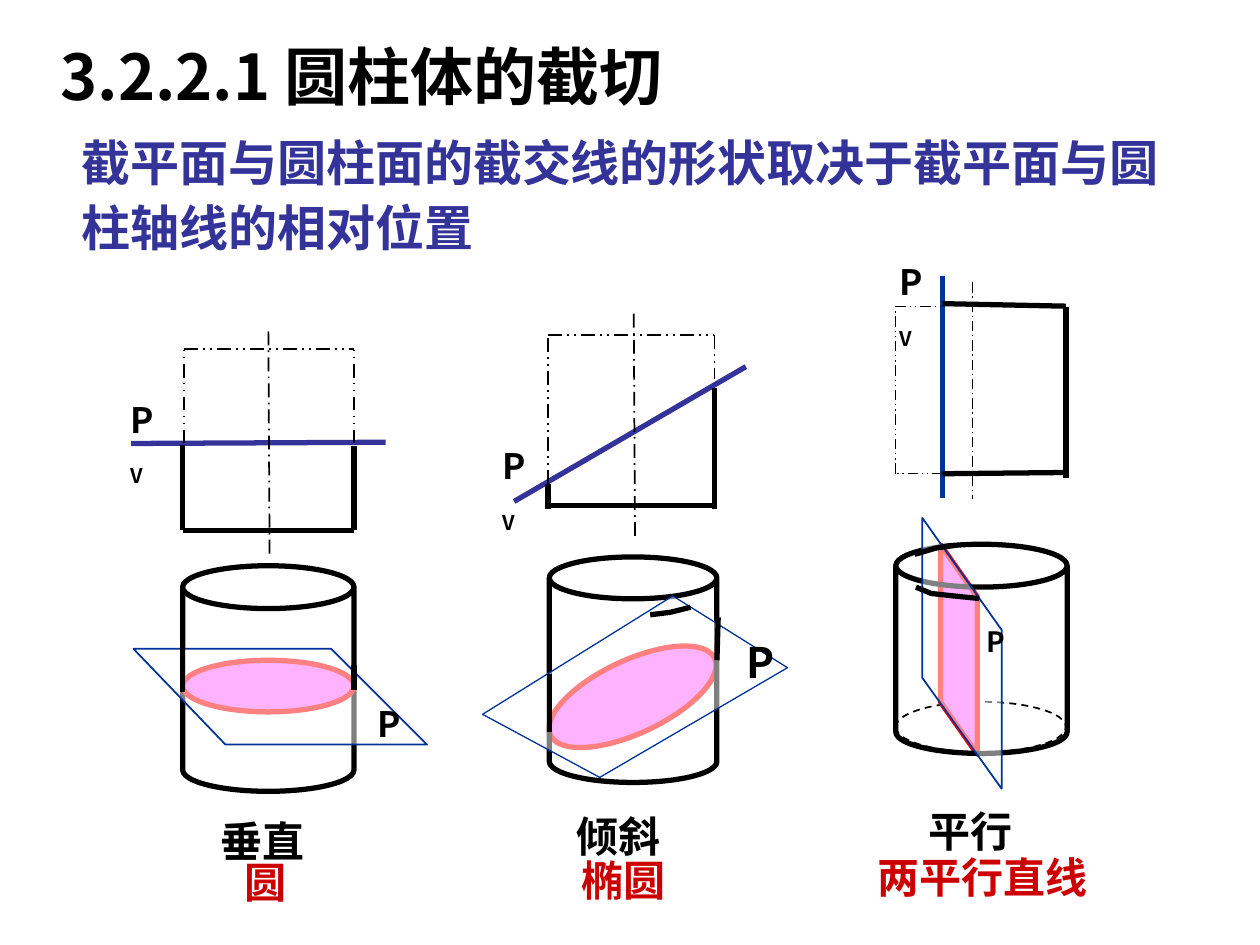
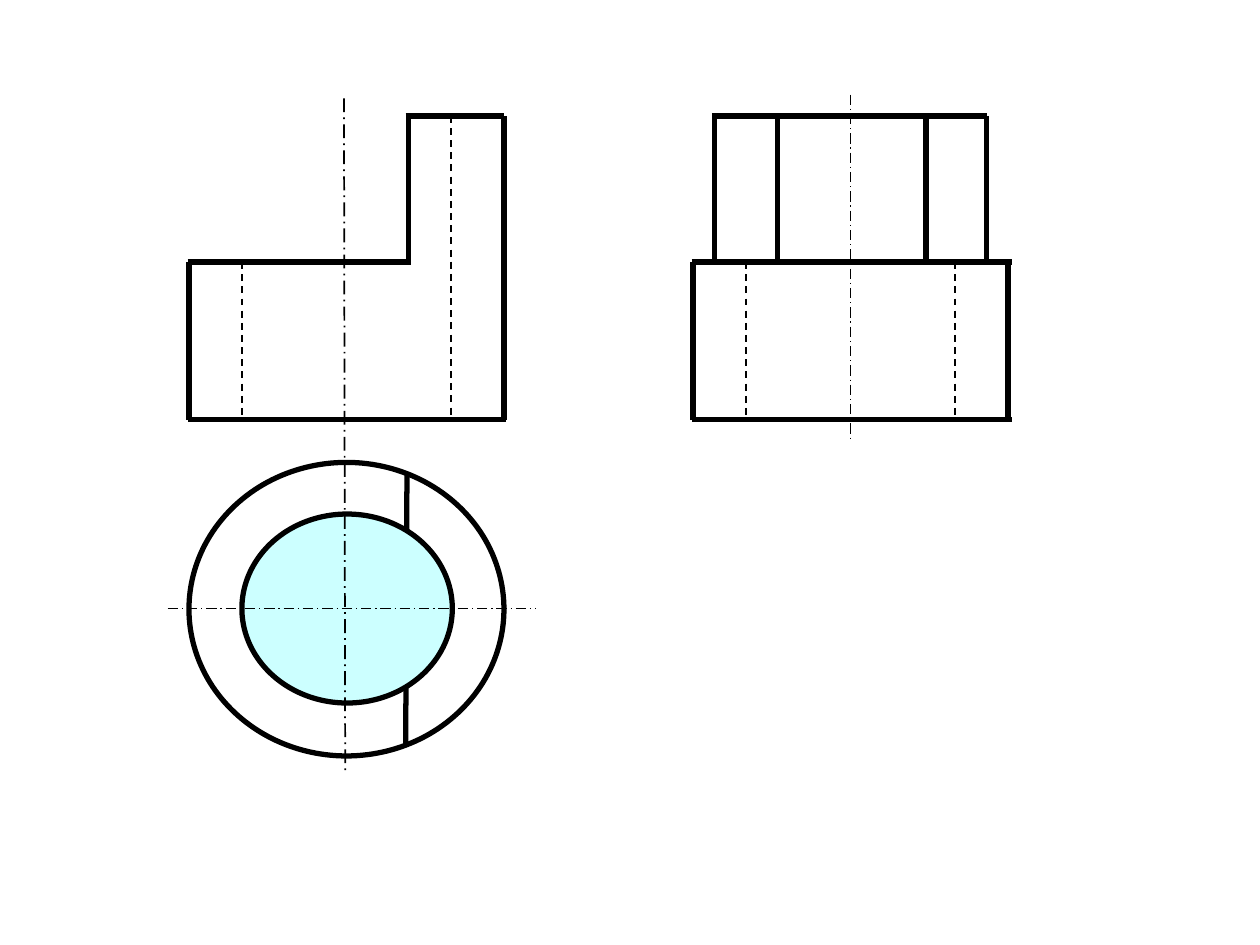
"""Build two slides on cutting a cylinder with a plane."""
from dataclasses import dataclass
from itertools import pairwise

from lxml import etree
from pptx import Presentation
from pptx import util as u
from pptx.dml.color import RGBColor
from pptx.enum import dml, shapes, text
from pptx.oxml.ns import qn

DASH = dml.MSO_LINE
FORM = shapes.MSO_SHAPE


@dataclass(frozen=True)
class Pen:
    color: str
    width: float
    dash: object = None


@dataclass(frozen=True)
class Theme:
    font: str = "Noto Sans CJK SC"
    ink: str = "000000"
    blue: str = "333399"
    red: str = "CC0000"
    pink: str = "FF66FF"
    aqua: str = "CCFFFF"
    white: str = "FFFFFF"
    head: int = 36
    lead: int = 28
    label: int = 24
    mark: int = 20
    small: int = 16
    bold: Pen = Pen("000000", 3)
    trace: Pen = Pen("333399", 3)
    side: Pen = Pen("003399", 3)
    plane: Pen = Pen("003399", 1)
    thin: Pen = Pen("003399", 0.75)
    cut: Pen = Pen("FF0000", 3)
    axis: Pen = Pen("000000", 1, DASH.LONG_DASH_DOT)
    fine: Pen = Pen("000000", 0.75, DASH.LONG_DASH_DOT)
    ghost: Pen = Pen("000000", 1, DASH.DASH_DOT_DOT)
    faint: Pen = Pen("000000", 0.75, DASH.DASH_DOT_DOT)
    hidden: Pen = Pen("000000", 1, DASH.DASH)


def size(*inches):
    return [u.Cm(2.54 * n) for n in inches]


class Sheet:
    def __init__(self, theme):
        self.theme = theme
        self.deck = Presentation()
        self.deck.slide_width, self.deck.slide_height = size(10, 7.5)
        self.slide = None

    def page(self, layout):
        self.slide = self.deck.slides.add_slide(self.deck.slide_layouts[layout])

    def style(self, run, points, color):
        run.font.name = self.theme.font
        run.font.size = u.Pt(points)
        run.font.bold = True
        run.font.color.rgb = RGBColor.from_string(color)
        etree.SubElement(run.font._element, qn("a:ea"), typeface=self.theme.font)

    def title(self, words, *box):
        head = self.slide.shapes.title
        head.left, head.top, head.width, head.height = size(*box)
        head.text_frame.text = words
        head.text_frame.vertical_anchor = text.MSO_ANCHOR.MIDDLE
        para = head.text_frame.paragraphs[0]
        para.alignment = text.PP_ALIGN.LEFT
        self.style(para.runs[0], self.theme.head, self.theme.ink)

    def note(self, words, points, color, *box, space=None):
        frame = self.slide.shapes.add_textbox(*size(*box)).text_frame
        frame.word_wrap = True
        frame.text = words
        para = frame.paragraphs[0]
        para.line_spacing = space
        self.style(para.runs[0], points, color)
        return para

    def mark(self, left, top):
        theme = self.theme
        para = self.note("P", theme.mark, theme.ink, left, top, 0.42, 0.48)
        sub = para.add_run()
        sub.text = "V"
        self.style(sub, theme.mark, theme.ink)
        sub.font._element.set("baseline", "-25000")

    def ink(self, line, pen):
        line.color.rgb = RGBColor.from_string(pen.color)
        line.width = u.Pt(pen.width)
        if pen.dash:
            line.dash_style = pen.dash

    def paint(self, shape, pen, fill=None):
        shape.shadow.inherit = False
        self.ink(shape.line, pen)
        if fill:
            shape.fill.solid()
            shape.fill.fore_color.rgb = RGBColor.from_string(fill)
        else:
            shape.fill.background()

    def chain(self, pen, *points):
        for start, end in pairwise(points):
            line = self.slide.shapes.add_connector(
                shapes.MSO_CONNECTOR.STRAIGHT, *size(*start, *end))
            self.ink(line.line, pen)
            etree.SubElement(line.element.spPr, qn("a:effectLst"))

    def form(self, kind, pen, *box, fill=None, turn=0):
        shape = self.slide.shapes.add_shape(kind, *size(*box))
        shape.rotation = turn
        self.paint(shape, pen, fill)
        return shape

    def free(self, pen, *points, close=False, fill=None):
        first, *rest = [size(*point) for point in points]
        path = self.slide.shapes.build_freeform(*first)
        path.add_line_segments(rest, close=close)
        shape = path.convert_to_shape()
        self.paint(shape, pen, fill)
        return shape

    def plane(self, pen, *points):
        shape = self.free(pen, *points, close=True, fill=self.theme.white)
        color = shape.element.spPr.find(qn("a:solidFill"))[0]
        etree.SubElement(color, qn("a:alpha"), val="50000")


def slant(sheet):
    """Draw the cylinder cut by a sloping plane."""
    theme = sheet.theme
    left, right, top, base = 4.35, 5.67, 2.66, 4.01
    sheet.mark(3.89, 3.48)
    sheet.chain(theme.trace, (4.08, 3.98), (5.92, 2.91))
    sheet.form(FORM.OVAL, theme.cut, 4.3, 5.24, 1.44, 0.58, fill=theme.pink, turn=154.9)
    sheet.form(FORM.CAN, theme.bold, 4.36, 4.42, 1.33, 1.79)
    sheet.chain(theme.axis, (5.03, 2.49), (5.04, 4.28))
    sheet.chain(theme.bold, (left, 3.84), (left, 4.04))
    sheet.chain(theme.bold, (left, base), (right, base))
    sheet.chain(theme.bold, (right, 4.04), (right, 3.08))
    sheet.chain(theme.ghost, (left, 3.84), (left, top), (right, top), (right, 3.01))
    sheet.plane(theme.thin, (3.83, 5.67), (5.34, 4.73), (6.25, 5.3), (4.76, 6.17))
    sheet.note("P", theme.label, theme.ink, 5.83, 5, 0.45, 0.5)
    sheet.chain(theme.bold, (4.36, 5.35), (4.36, 5.81))
    sheet.chain(theme.bold, (5.7, 4.9), (5.69, 5.24))
    sheet.free(theme.bold, (5.16, 4.88), (5.32, 4.86), (5.48, 4.82))


def square(sheet):
    """Draw the cylinder cut square to its axis."""
    theme = sheet.theme
    left, right, top, base = 1.45, 2.81, 2.77, 4.21
    sheet.chain(theme.trace, (1.04, 3.52), (3.06, 3.51))
    sheet.form(FORM.CAN, theme.bold, left, 4.49, 1.36, 1.79)
    sheet.form(FORM.OVAL, theme.cut, left, 5.24, 1.36, 0.41, fill=theme.pink)
    sheet.chain(theme.axis, (2.13, 2.63), (2.14, 4.42))
    sheet.chain(theme.bold, (left, 3.53), (left, base), (right, base), (right, 3.54))
    sheet.chain(theme.ghost, (1.46, 3.52), (1.46, top), (right, top))
    sheet.chain(theme.ghost, (right, 3.52), (right, top))
    sheet.mark(0.94, 3.11)
    sheet.plane(theme.plane, (1.06, 5.15), (2.63, 5.15), (3.39, 5.91), (1.79, 5.91))
    sheet.note("P", theme.mark, theme.ink, 2.9, 5.53, 0.4, 0.44)
    sheet.chain(theme.bold, (left, 5.13), (left, 5.49))
    sheet.chain(theme.bold, (right, 5.28), (right, 5.48))


def along(sheet):
    """Draw the cylinder cut along its axis."""
    theme = sheet.theme
    left, mid, right, top, base = 7.11, 7.48, 8.46, 2.43, 3.76
    sheet.form(FORM.OVAL, theme.hidden, left, 5.57, 1.35, 0.4)
    sheet.chain(theme.side, (mid, 2.19), (mid, 3.95))
    strip = sheet.form(FORM.PARALLELOGRAM, theme.cut, 6.78, 5.01, 1.66, 0.29,
                       fill=theme.pink, turn=90)
    strip.adjustments[0] = 1.42
    sheet.form(FORM.CAN, theme.bold, left, 4.32, 1.36, 1.66)
    sheet.chain(theme.fine, (7.72, 2.24), (7.72, 3.96))
    sheet.chain(theme.bold, (mid, base), (right, 3.75))
    sheet.chain(theme.bold, (right, 3.79), (right, 2.44))
    sheet.chain(theme.bold, (right, top), (mid, 2.41))
    sheet.chain(theme.faint, (mid, base), (left, base), (left, top), (mid, top))
    sheet.mark(7.04, 2.02)
    sheet.plane(theme.plane, (7.32, 4.11), (7.95, 5), (7.95, 6.26), (7.32, 5.38))
    sheet.note("P", theme.small, theme.ink, 7.73, 4.91, 0.38, 0.37)
    sheet.free(theme.bold, (7.27, 4.66), (7.39, 4.71), (7.57, 4.73), (7.77, 4.75))
    sheet.free(theme.bold, (7.26, 4.4), (7.43, 4.35), (7.57, 4.33))


def cases(sheet):
    """Show the three ways to cut a cylinder."""
    theme = sheet.theme
    sheet.page(5)
    sheet.title("3.2.2.1 圆柱体的截切", 0.38, 0.28, 5.53, 0.63)
    sheet.note("截平面与圆柱面的截交线的形状取决于截平面与圆柱轴线的相对位置",
               theme.lead, theme.blue, 0.55, 0.96, 8.99, 1.13, space=1.1)
    for words, color, left, top, width in (
            ("垂直", theme.ink, 1.65, 6.42, 0.94),
            ("圆", theme.red, 1.84, 6.75, 0.6),
            ("倾斜", theme.ink, 4.48, 6.38, 0.94),
            ("椭圆", theme.red, 4.52, 6.73, 0.94),
            ("平行", theme.ink, 7.27, 6.34, 0.94),
            ("两平行直线", theme.red, 6.87, 6.71, 1.9)):
        sheet.note(words, theme.label, color, left, top, width, 0.5)
    slant(sheet)
    square(sheet)
    along(sheet)


def views(sheet):
    """Show the three views of a notched tube."""
    theme = sheet.theme
    top, step, base = 0.92, 2.08, 3.33
    sheet.page(6)
    sheet.chain(theme.bold, (3.23, 3.75), (3.22, 5.92))
    sheet.chain(theme.fine, (6.75, 0.75), (6.75, 3.48))
    sheet.form(FORM.OVAL, theme.bold, 1.92, 4.08, 1.67, 1.5, fill=theme.aqua)
    sheet.form(FORM.OVAL, theme.bold, 1.5, 3.67, 2.5, 2.33)
    for left, right, level in (
            (1.49, 4.02, base), (1.49, 3.26, step), (3.22, 4, top),
            (5.49, 8.03, step), (5.49, 8.03, base), (5.65, 7.83, top)):
        sheet.chain(theme.bold, (left, level), (right, level))
    for pen, start, end, places in (
            (theme.bold, top, base, (4,)),
            (theme.bold, top, step, (3.24, 5.67, 6.17, 7.35, 7.83)),
            (theme.bold, step, base, (1.5, 5.5, 8)),
            (theme.hidden, step, base, (1.92, 5.92, 7.58)),
            (theme.hidden, top, base, (3.58,))):
        for place in places:
            sheet.chain(pen, (place, start), (place, end))
    sheet.chain(theme.axis, (2.73, 0.78), (2.74, 6.15))
    sheet.chain(theme.fine, (1.33, 4.83), (4.25, 4.83))


def main():
    sheet = Sheet(Theme())
    cases(sheet)
    views(sheet)
    sheet.deck.save("out.pptx")


if __name__ == "__main__":
    main()
